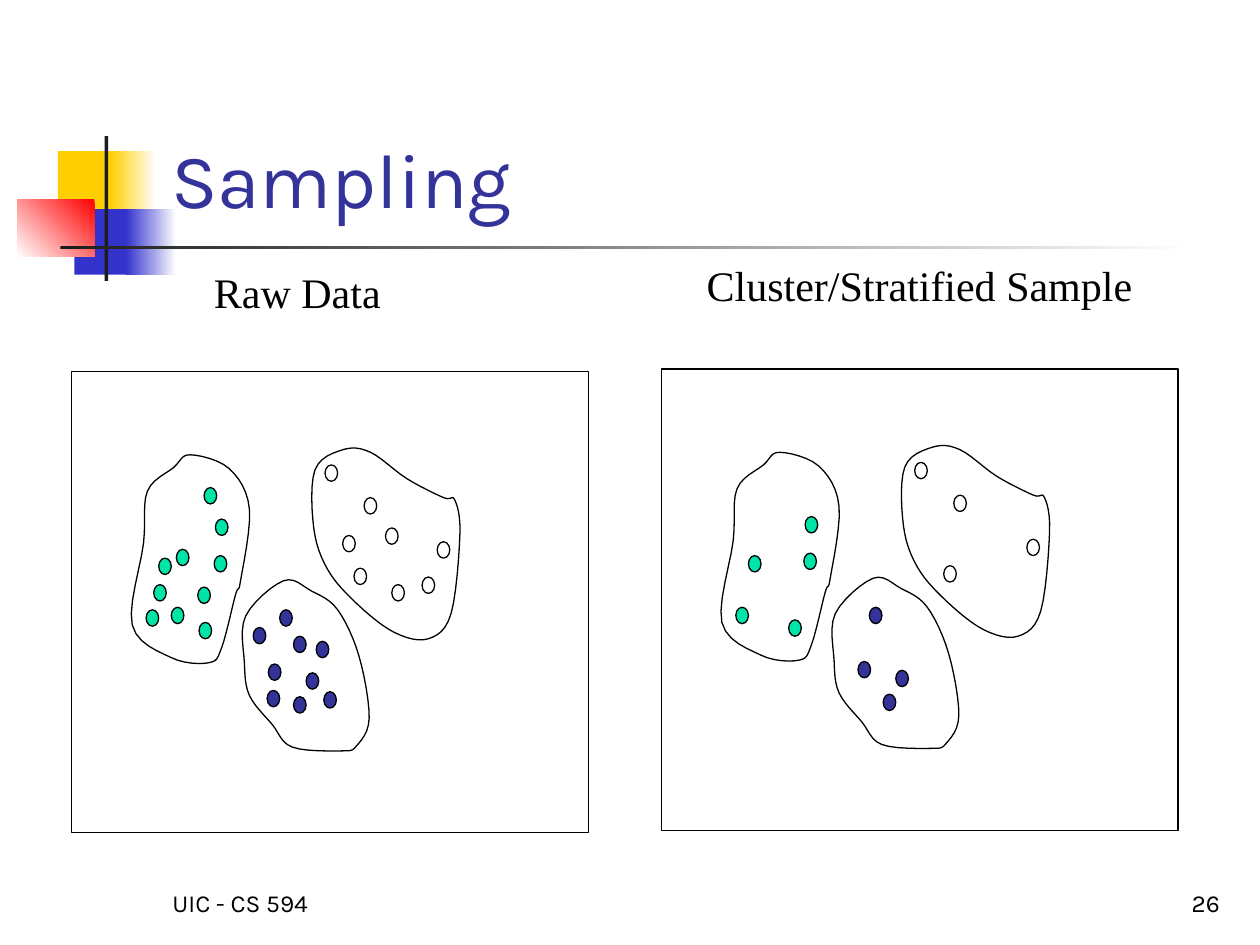
from pptx import Presentation
from pptx import util as u
from pptx.dml.color import RGBColor
from pptx.enum import shapes, text

PX = 9144  # EMU per px, 100 px to the inch
STEPS = 6  # straight pieces between two outline points
COLORS = {
    "white": "FFFFFF", "black": "000000", "ink": "1C1C1C", "yellow": "FFCF01",
    "blue": "3333CC", "red": "FF0000", "navy": "333399", "green": "00E4A8",
}
# Fill, dots kept in the sample, dots left out of it, points of the outline.
CLUSTERS = [
    ("white",
     [(289, 395), (281, 451), (347, 430), (258, 369)],
     [(306, 419), (272, 425), (335, 458), (311, 464)],
     [(361, 397), (365, 424), (358, 487), (340, 507), (313, 502), (283, 479),
      (260, 452), (249, 419), (250, 373), (272, 357), (294, 359), (323, 380),
      (352, 395)]),
    ("navy",
     [(233, 553), (243, 534), (213, 527), (222, 484)],
     [(201, 498), (251, 509), (212, 548), (233, 505), (257, 549)],
     [(216, 575), (198, 552), (194, 526), (195, 489), (225, 461), (247, 469),
      (268, 484), (285, 521), (293, 570), (283, 592), (271, 596), (232, 593)]),
    ("green",
     [(116, 484), (126, 443), (158, 494), (170, 441), (171, 412)],
     [(136, 482), (122, 464), (157, 466), (140, 436), (162, 387)],
     [(187, 472), (176, 514), (166, 526), (136, 522), (105, 496), (114, 431),
      (117, 390), (138, 371), (151, 361), (182, 372), (198, 404), (191, 461)]),
]


def rgb(name):
    return RGBColor.from_string(COLORS[name])


def draw_line(shape):
    shape.line.color.rgb = rgb("black")
    shape.line.width = u.Pt(0.75)


def add_shape(slide, kind, box, fill=None, fade=None, line=False):
    """Add a preset shape; fade is the angle at which fill turns to white."""
    shape = slide.shapes.add_shape(kind, *(v * PX for v in box))
    shape.shadow.inherit = False
    if fade is not None:
        shape.fill.gradient()
        shape.fill.gradient_angle = fade
        for stop, name in zip(shape.fill.gradient_stops, (fill, "white")):
            stop.color.rgb = rgb(name)
    elif fill:
        shape.fill.solid()
        shape.fill.fore_color.rgb = rgb(fill)
    else:
        shape.fill.background()
    if line:
        draw_line(shape)
    else:
        shape.line.fill.background()


def blend(a, b, c, d, t):
    """Return the value at t on the smooth curve from b to c."""
    return b + t / 2 * (c - a + t * (2 * a - 5 * b + 4 * c - d
                                     + t * (3 * (b - c) + d - a)))


def trace(knots):
    """Return points along a smooth closed curve through the knots."""
    count = len(knots)
    points = []
    for i in range(count):
        near = [knots[(i + k) % count] for k in (-1, 0, 1, 2)]
        xs, ys = zip(*near)
        points += [(blend(*xs, s / STEPS), blend(*ys, s / STEPS))
                   for s in range(STEPS)]
    return points


def add_outline(slide, knots, dx, dy):
    points = [((x + dx) * PX, (y + dy) * PX) for x, y in trace(knots)]
    build = slide.shapes.build_freeform(*points[0], scale=1.0)
    build.add_line_segments(points[1:], close=True)
    shape = build.convert_to_shape()
    shape.shadow.inherit = False
    shape.fill.background()
    draw_line(shape)


def add_panel(slide, dx=0, dy=0, sample=False):
    add_shape(slide, shapes.MSO_SHAPE.RECTANGLE, (57 + dx, 295 + dy, 410, 366), line=True)
    for fill, kept, rest, knots in CLUSTERS:
        for x, y in kept if sample else kept + rest:
            add_shape(slide, shapes.MSO_SHAPE.FLOWCHART_CONNECTOR,
                      (x + dx, y + dy, 10, 13), fill, line=True)
        add_outline(slide, knots, dx, dy)


def add_text(slide, words, box, size, font, color="black", wrap=True,
             anchor=text.MSO_ANCHOR.BOTTOM, align=text.PP_ALIGN.LEFT):
    frame = slide.shapes.add_textbox(*(v * PX for v in box)).text_frame
    frame.word_wrap = wrap
    frame.vertical_anchor = anchor
    if not wrap:
        frame.auto_size = text.MSO_AUTO_SIZE.SHAPE_TO_FIT_TEXT
    para = frame.paragraphs[0]
    para.alignment = align
    run = para.add_run()
    run.text = words
    run.font.size = u.Pt(size)
    run.font.name = font
    run.font.color.rgb = rgb(color)


def add_label(slide, words, box):
    add_text(slide, words, box, 24, "Times New Roman", wrap=False,
             anchor=text.MSO_ANCHOR.TOP)


def add_motif(slide):
    for box, fill, fade in (
        ((46, 120, 48, 52), "yellow", None),
        ((88, 120, 36, 52), "yellow", 0),
        ((59, 166, 46, 52), "blue", None),
        ((100, 166, 40, 52), "blue", 0),
        ((14, 158, 61, 46), "red", 225),
        ((83, 108, 3, 115), "ink", None),
        ((48, 195, 900, 3), "ink", 0),
    ):
        add_shape(slide, shapes.MSO_SHAPE.RECTANGLE, box, fill, fade)


def main():
    deck = Presentation()
    deck.slide_width, deck.slide_height = 1000 * PX, 750 * PX
    slide = deck.slides.add_slide(deck.slide_layouts[6])
    add_motif(slide)
    add_text(slide, "Sampling", (126, 23, 852, 160), 44, "Karla", "navy")
    add_panel(slide)
    add_panel(slide, 468, -2, sample=True)
    add_label(slide, "Raw Data", (160, 207, 160, 50))
    add_label(slide, "Cluster/Stratified Sample", (551, 201, 358, 50))
    add_text(slide, "26", (770, 683, 208, 50), 14, "Karla", align=text.PP_ALIGN.RIGHT)
    add_text(slide, "UIC - CS 594", (127, 683, 208, 50), 14, "Karla")
    deck.save("out.pptx")


if __name__ == "__main__":
    main()
